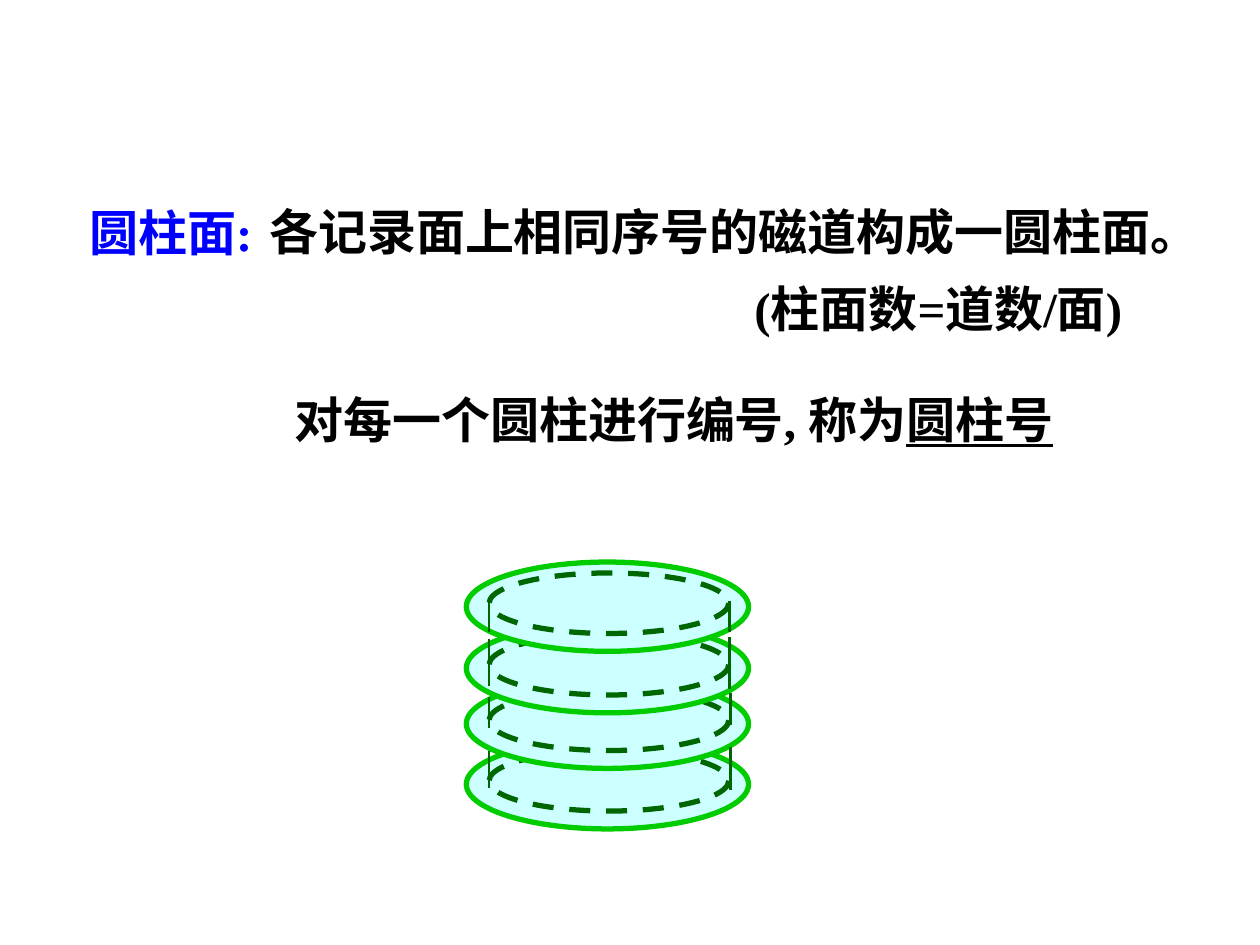
import pptx
import pptx.util
import pptx.dml.color
import pptx.enum.dml
import pptx.enum.shapes
import pptx.enum.text
import pptx.oxml.ns
import lxml.etree

Cm = pptx.util.Cm
COLORS = {"text": "000000", "term": "0000FF", "disk": "CCFFFF",
          "rim": "00CC00", "track": "006600"}
FONT = {"name": "Times New Roman", "size": pptx.util.Pt(28), "bold": True}

STATEMENTS = [
    ((5.18, 3.94, 19, 1.45), "text", [("各记录面上相同序号的磁道构成一圆柱面。", False)]),
    ((1.55, 3.96, 4.85, 1.45), "term", [("圆柱面:", False)]),
    ((14.96, 5.49, 9.14, 1.45), "text", [("(柱面数=道数/面)", False)]),
    ((5.69, 7.72, 16.26, 1.45), "text",
     [("对每一个圆柱进行编号, 称为", False), ("圆柱号", True)]),
]
DISK_TOPS = [14.91, 13.69, 12.57, 11.33]
RINGS = [
    {"left": 9.4, "drop": 0, "width": 5.69, "height": 1.8, "line": "rim", "dash": None},
    {"left": 9.86, "drop": 0.22, "width": 4.83, "height": 1.22, "line": "track",
     "dash": pptx.enum.dml.MSO_LINE.DASH},
]
CYLINDER_EDGES = [
    (9.86, [(12.12, 12.75), (12.88, 13.82), (14.05, 14.68), (15.14, 15.88)]),
    (14.71, [(12.12, 12.75), (12.85, 13.89)]),
    (14.73, [(13.97, 14.61), (15.06, 15.93)]),
]


def rgb(role):
    return pptx.dml.color.RGBColor.from_string(COLORS[role])


def format_line(line, role, points):
    line.color.rgb = rgb(role)
    line.width = pptx.util.Pt(points)


def add_statement(shapes, box, role, runs):
    frame = shapes.add_textbox(*map(Cm, box)).text_frame
    frame.word_wrap = True
    frame.auto_size = pptx.enum.text.MSO_AUTO_SIZE.SHAPE_TO_FIT_TEXT
    for words, underlined in runs:
        run = frame.paragraphs[0].add_run()
        run.text = words
        for attribute, value in FONT.items():
            setattr(run.font, attribute, value)
        run.font.underline = underlined
        run.font.color.rgb = rgb(role)


def add_ring(shapes, disk_top, ring):
    ellipse = shapes.add_shape(
        pptx.enum.shapes.MSO_SHAPE.OVAL, Cm(ring["left"]), Cm(disk_top + ring["drop"]),
        Cm(ring["width"]), Cm(ring["height"]))
    ellipse.rotation = 180
    ellipse.shadow.inherit = False
    ellipse.fill.solid()
    ellipse.fill.fore_color.rgb = rgb("disk")
    format_line(ellipse.line, ring["line"], 3)
    ellipse.line.dash_style = ring["dash"]


def add_edge(shapes, x, top, bottom):
    edge = shapes.add_connector(
        pptx.enum.shapes.MSO_CONNECTOR.STRAIGHT, Cm(x), Cm(top), Cm(x), Cm(bottom))
    format_line(edge.line, "track", 1.5)
    lxml.etree.SubElement(edge._element.spPr, pptx.oxml.ns.qn("a:effectLst"))


def main():
    """Build the slide that explains disk cylinders."""
    deck = pptx.Presentation()
    deck.slide_width, deck.slide_height = Cm(25.4), Cm(19.05)
    slide = deck.slides.add_slide(deck.slide_layouts[6])
    for statement in STATEMENTS[:-1]:
        add_statement(slide.shapes, *statement)
    cylinder = slide.shapes.add_group_shape().shapes
    for disk_top in DISK_TOPS:
        for ring in RINGS:
            add_ring(cylinder, disk_top, ring)
    for x, spans in CYLINDER_EDGES:
        for top, bottom in spans:
            add_edge(cylinder, x, top, bottom)
    add_statement(slide.shapes, *STATEMENTS[-1])
    deck.save("out.pptx")


if __name__ == "__main__":
    main()
